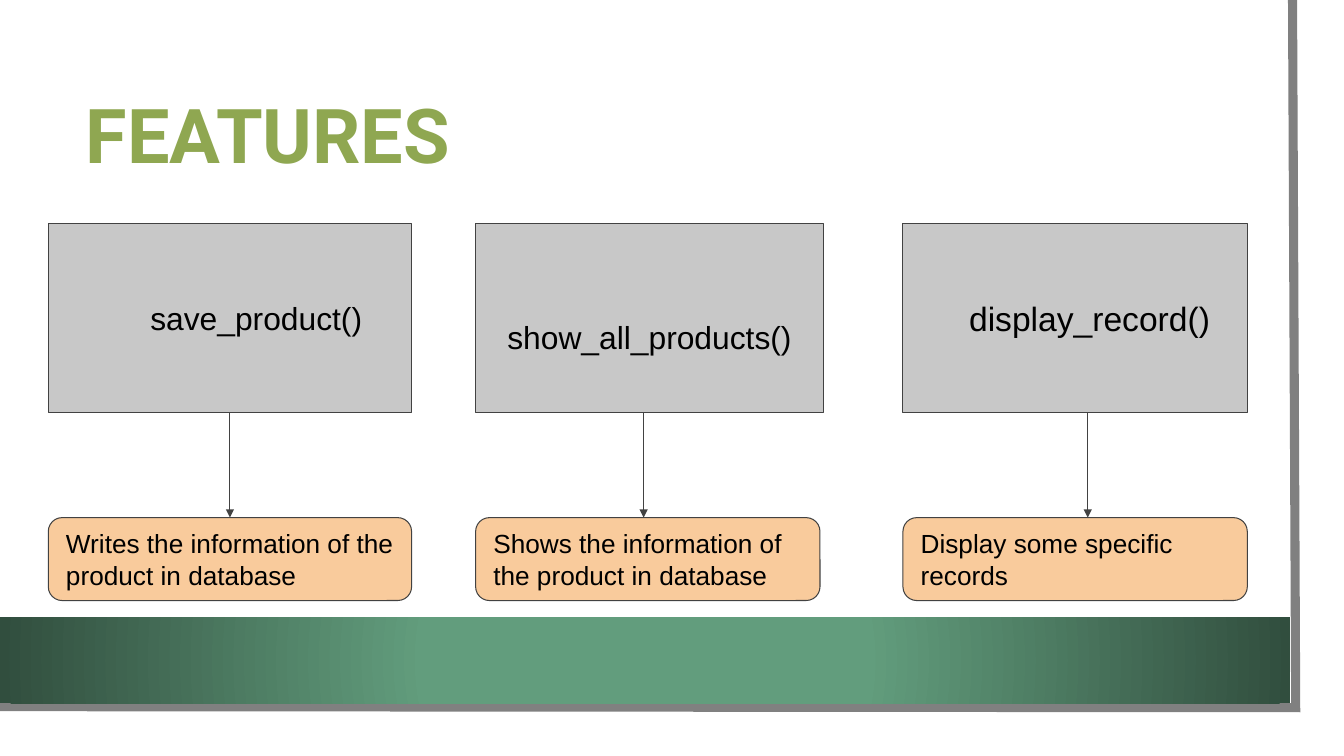
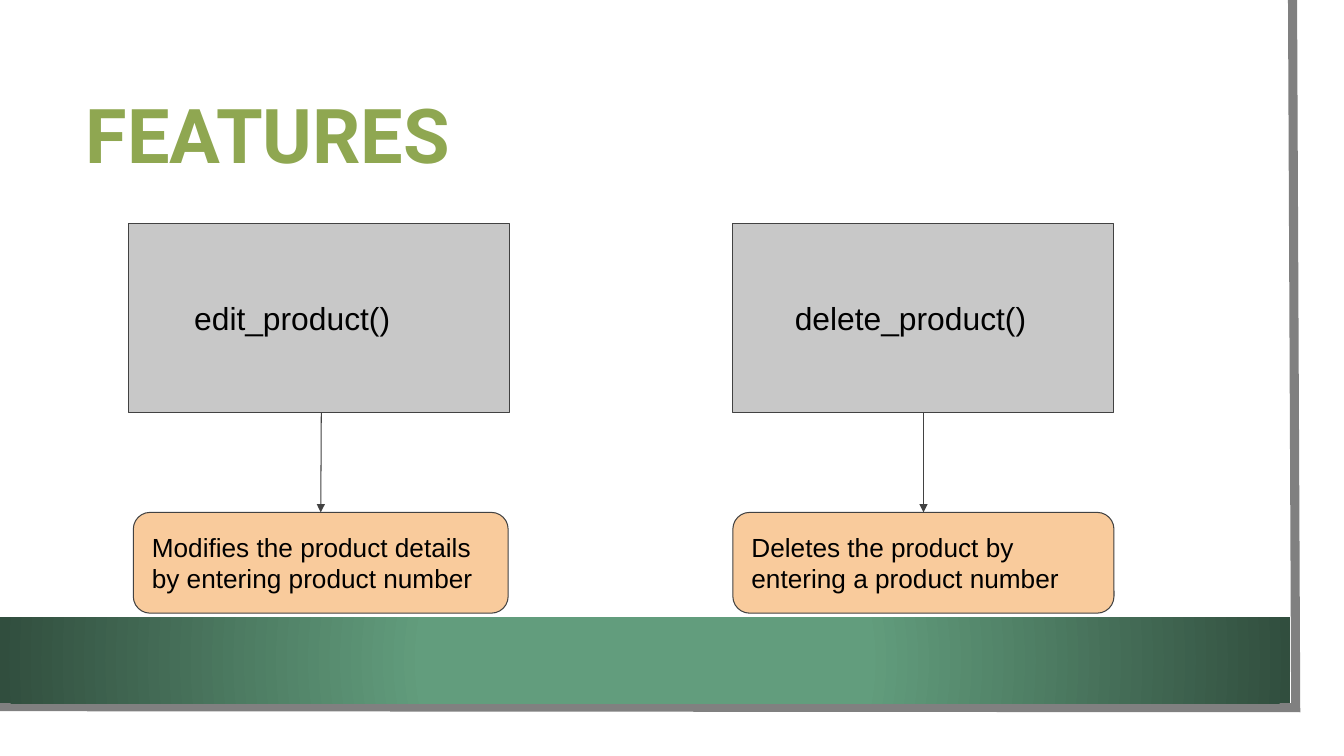
from lxml import etree
from pptx import Presentation
from pptx.dml.color import RGBColor
from pptx.enum.shapes import MSO_CONNECTOR, MSO_SHAPE
from pptx.enum.text import MSO_ANCHOR, PP_ALIGN
from pptx.oxml.ns import qn
from pptx.util import Pt

RECT, ROUND = MSO_SHAPE.RECTANGLE, MSO_SHAPE.ROUNDED_RECTANGLE
STRAIGHT = MSO_CONNECTOR.STRAIGHT
MIDDLE = MSO_ANCHOR.MIDDLE
LEFT, CENTER = PP_ALIGN.LEFT, PP_ALIGN.CENTER
TOP_SIDE, BOTTOM_SIDE = 0, 2

SCALE = 9525
INSET = 13
BOX_TOP, BOX_HEIGHT = 213, 180
COLORS = {
    "title": "8FA751",
    "box": "C8C8C8",
    "note": "F9CB9C",
    "line": "424242",
    "text": "000000",
    "frame": "808080",
    "band": "629D7D",
    "band_edge": "314E3E",
}


def px(*values):
    return [v * SCALE for v in values]


def rgb(name):
    return RGBColor.from_string(COLORS[name])


def set_line(shape, color, width):
    shape.line.color.rgb = rgb(color)
    shape.line.width = Pt(width)


def add_frame(s):
    builder = s.shapes.build_freeform(1231, 0, scale=SCALE)
    builder.add_line_segments([(1234, 674), (-3, 673)], close=False)
    frame = builder.convert_to_shape()
    frame.shadow.inherit = False
    frame.fill.background()
    set_line(frame, "frame", 6.5)
    ln = frame.element.spPr.find(qn("a:ln"))
    etree.SubElement(ln, qn("a:miter"), lim="800000")
    return frame


def add_band(s):
    band = s.shapes.add_shape(RECT, *px(0, 588, 1229, 82))
    band.shadow.inherit = False
    band.line.fill.background()
    band.fill.gradient()
    stops = zip(band.fill.gradient_stops, [(0.34, "band"), (1, "band_edge")])
    for stop, (position, color) in stops:
        stop.position = position
        stop.color.rgb = rgb(color)
    grad = band.element.spPr.find(qn("a:gradFill"))
    grad.remove(grad.find(qn("a:lin")))
    path = etree.SubElement(grad, qn("a:path"), path="circle")
    etree.SubElement(path, qn("a:fillToRect"), l="50000", t="50000", r="50000", b="50000")
    return band


def decorate_layout(layout, s):
    tree = layout.shapes.element
    for index, shape in enumerate([add_frame(s), add_band(s)], 2):
        tree.insert(index, shape.element)


def set_title(s, text):
    title = s.shapes.title
    title.left, title.top, title.width, title.height = px(72, 72, 1092, 121)
    tf = title.text_frame
    tf.text = text
    tf.vertical_anchor = MIDDLE
    p = tf.paragraphs[0]
    p.alignment = LEFT
    p.line_spacing = 0.9
    p.font.name, p.font.size, p.font.bold = "Roboto", Pt(54), True
    p.font.color.rgb = rgb("title")


def add_box(s, kind, rect, fill, text, size, align=LEFT, indent=0, drop=0):
    sp = s.shapes.add_shape(kind, *px(*rect))
    sp.shadow.inherit = False
    sp.fill.solid()
    sp.fill.fore_color.rgb = rgb(fill)
    set_line(sp, "line", 0.75)
    tf = sp.text_frame
    tf.word_wrap = True
    tf.vertical_anchor = MIDDLE
    tf.margin_left, tf.margin_top, tf.margin_right, tf.margin_bottom = px(
        INSET + indent, INSET + drop, INSET, INSET)
    tf.text = text
    p = tf.paragraphs[0]
    p.alignment = align
    p.font.name, p.font.size = "Arial", Pt(size)
    p.font.color.rgb = rgb("text")
    return sp


def add_arrow(s, x, box, note):
    x = x * SCALE
    arrow = s.shapes.add_connector(STRAIGHT, x, box.top + box.height, x, note.top)
    if abs(box.left + box.width // 2 - x) <= SCALE:
        arrow.begin_connect(box, BOTTOM_SIDE)
    if abs(note.left + note.width // 2 - x) <= SCALE:
        arrow.end_connect(note, TOP_SIDE)
    set_line(arrow, "line", 0.75)
    ln = arrow.element.spPr.find(qn("a:ln"))
    etree.SubElement(ln, qn("a:tailEnd"), type="triangle")
    etree.SubElement(arrow.element.spPr, qn("a:effectLst"))


def add_features(s, note_top, note_height, features):
    set_title(s, "FEATURES")
    for (left, width), (note_left, note_width), arrow_x, name, style, text in features:
        box = add_box(s, RECT, (left, BOX_TOP, width, BOX_HEIGHT), "box", name,
                      **{"size": 22.7, **style})
        note = add_box(s, ROUND, (note_left, note_top, note_width, note_height),
                       "note", text, 18.7)
        add_arrow(s, arrow_x, box, note)


def main():
    prs = Presentation()
    prs.slide_width, prs.slide_height = px(1280, 720)
    layout = prs.slide_layouts[5]

    s = prs.slides.add_slide(layout)
    decorate_layout(layout, s)
    add_features(s, 493, 79, [
        ((46, 346), (46, 346), 219, "save_product()",
         {"align": CENTER, "indent": 50},
         "Writes the information of the product in database"),
        ((453, 331), (453, 328), 613, "show_all_products()",
         {"align": CENTER, "drop": 36},
         "Shows the information of the product in database"),
        ((860, 328), (860, 328), 1036, "display_record()",
         {"size": 24, "indent": 50},
         "Display some specific records"),
    ])

    s = prs.slides.add_slide(layout)
    add_features(s, 488, 96, [
        ((122, 363), (127, 357), 306, "edit_product()", {"indent": 50},
         "Modifies the product details by entering product number"),
        ((698, 363), (698, 363), 879, "delete_product()", {"indent": 46},
         "Deletes the product by entering a product number"),
    ])

    prs.save("out.pptx")


if __name__ == "__main__":
    main()
